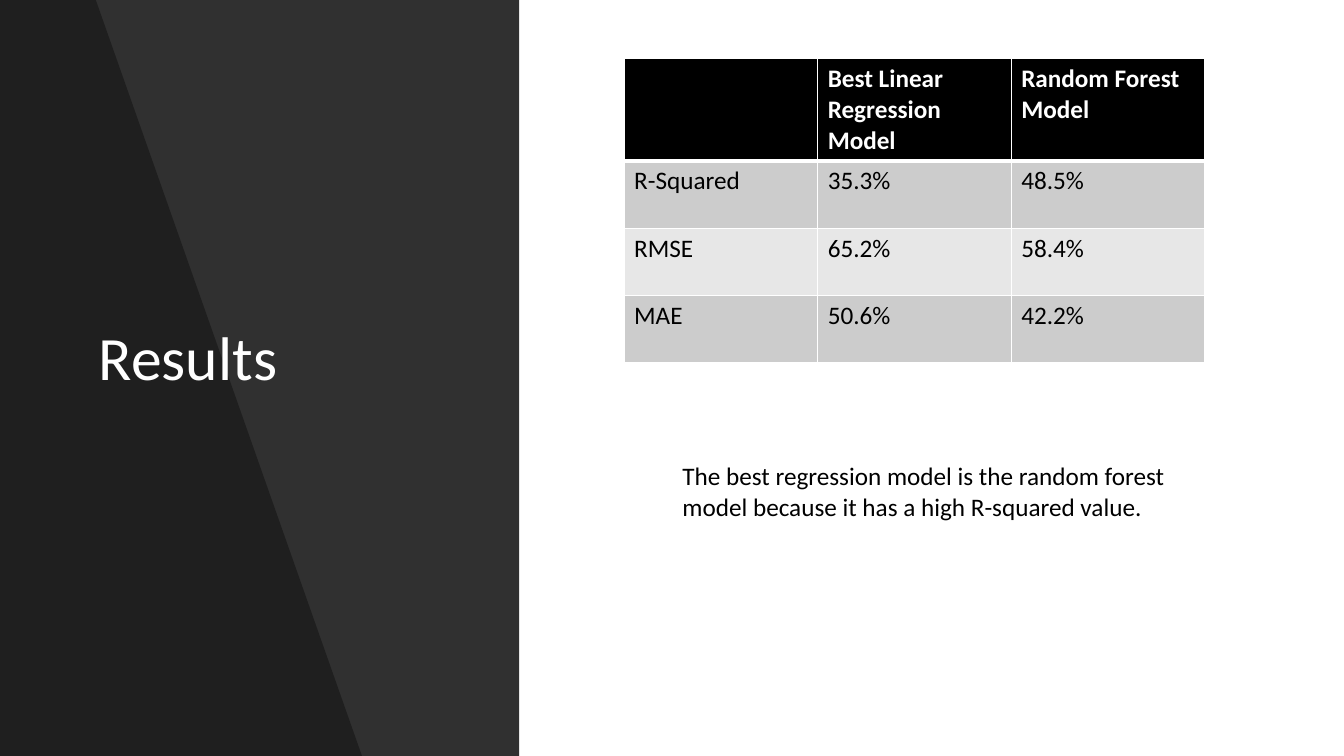
"""Build the results slide comparing two regression models."""
from dataclasses import dataclass

from lxml import etree
from pptx import Presentation
from pptx.dml.color import RGBColor
from pptx.enum.shapes import MSO_SHAPE
from pptx.enum.text import MSO_ANCHOR, MSO_AUTO_SIZE, PP_ALIGN
from pptx.oxml.ns import qn
from pptx.util import Inches, Pt

RECT = MSO_SHAPE.RECTANGLE
MIDDLE = MSO_ANCHOR.MIDDLE
LEFT = PP_ALIGN.LEFT
GROW = MSO_AUTO_SIZE.SHAPE_TO_FIT_TEXT


@dataclass(frozen=True)
class Theme:
    font: str = "Calibri"
    black: RGBColor = RGBColor(0, 0, 0)
    white: RGBColor = RGBColor(255, 255, 255)
    dark: RGBColor = RGBColor(0xCC, 0xCC, 0xCC)
    light: RGBColor = RGBColor(0xE7, 0xE7, 0xE7)
    title: Pt = Pt(44)
    body: Pt = Pt(18)


theme = Theme()


def style(para, size, color, bold=False):
    para.alignment = LEFT
    font = para.font
    font.name, font.size, font.bold = theme.font, size, bold
    font.color.rgb = color


def border(cell, side, width):
    line = etree.Element(qn(f"a:ln{side}"), w=str(Pt(width)))
    fill = etree.SubElement(line, qn("a:solidFill"))
    etree.SubElement(fill, qn("a:srgbClr"), val=str(theme.white))
    return line


prs = Presentation()
prs.slide_width, prs.slide_height = Inches(13.33), Inches(7.5)
slide = prs.slides.add_slide(prs.slide_layouts[5])
shapes = slide.shapes

panel = shapes.add_shape(RECT, 0, 0, Inches(5.15), Inches(7.5))
outline = shapes.build_freeform(0, 0)
outline.add_line_segments(
    [(Inches(x), Inches(y)) for x, y in [(0.95, 0), (3.59, 7.5), (0, 7.5)]]
)
wedge = outline.convert_to_shape()
for shape, alpha in [(panel, 81), (wedge, 35)]:
    shape.shadow.inherit = False
    shape.line.fill.background()
    shape.fill.solid()
    shape.fill.fore_color.rgb = theme.black
    color = shape.element.spPr.find(qn("a:solidFill"))[0]
    etree.SubElement(color, qn("a:alpha"), val=str(alpha * 1000))

title = shapes.title
title.left, title.top = Inches(0.88), Inches(0.7)
title.width, title.height = Inches(3.59), Inches(5.75)
title.text_frame.text = "Results"
title.text_frame.vertical_anchor = MIDDLE
para = title.text_frame.paragraphs[0]
para.line_spacing = 0.9
style(para, theme.title, theme.white)
shapes.element.append(title.element)

rows = [
    ("", "Best Linear Regression Model", "Random Forest Model"),
    ("R-Squared", "35.3%", "48.5%"),
    ("RMSE", "65.2%", "58.4%"),
    ("MAE", "50.6%", "42.2%"),
]
table = shapes.add_table(
    4, 3, Inches(6.19), Inches(0.58), Inches(5.76), Inches(2.67)
).table
for r, row in enumerate(rows):
    head = r == 0
    back = theme.black if head else theme.dark if r % 2 else theme.light
    ink = theme.white if head else theme.black
    for c, text in enumerate(row):
        cell = table.cell(r, c)
        cell.text = text
        style(cell.text_frame.paragraphs[0], theme.body, ink, head)
        cell.fill.solid()
        cell.fill.fore_color.rgb = back
        props = cell.fill.fore_color and cell._tc.get_or_add_tcPr()
        for i, side in enumerate("LRTB"):
            thick = (head and side == "B") or (r == 1 and side == "T")
            props.insert(i, border(cell, side, 3 if thick else 1))

note = shapes.add_textbox(Inches(6.67), Inches(4.52), Inches(5.29), Inches(0.71))
frame = note.text_frame
frame.word_wrap = True
frame.auto_size = GROW
frame.text = (
    "The best regression model is the random forest model "
    "because it has a high R-squared value."
)
style(frame.paragraphs[0], theme.body, theme.black)

prs.save("out.pptx")
